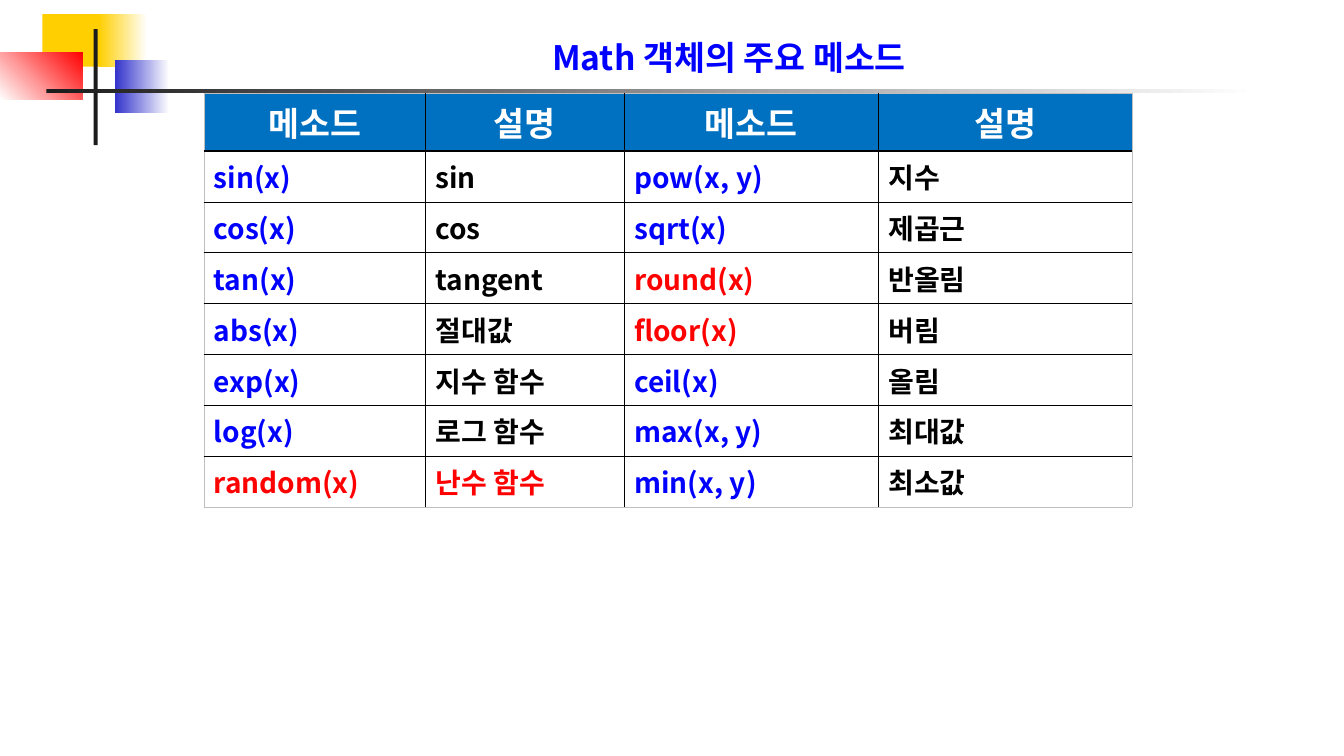
from dataclasses import dataclass
from typing import Optional

from lxml.etree import SubElement
from pptx import Presentation
from pptx.dml.color import RGBColor
from pptx.enum.shapes import MSO_SHAPE
from pptx.enum.text import MSO_ANCHOR, PP_ALIGN
from pptx.oxml import parse_xml
from pptx.oxml.ns import nsdecls, qn
from pptx.slide import Slide
from pptx.table import _Cell
from pptx.text.text import _Paragraph
from pptx.util import Inches, Pt

FONT = "Noto Sans CJK KR"
COLORS = {
    "yellow": "FFCF01",
    "indigo": "3333CC",
    "charcoal": "1C1C1C",
    "white": "FFFFFF",
    "black": "000000",
    "red": "FF0000",
    "blue": "0000FF",
    "header": "0070C0",
    "gray": "BFBFBF",
}
HEADER = ("메소드", "설명", "메소드", "설명")
METHODS = (
    ("sin(x)", "sin", "pow(x, y)", "지수"),
    ("cos(x)", "cos", "sqrt(x)", "제곱근"),
    ("tan(x)", "tangent", "round(x)", "반올림"),
    ("abs(x)", "절대값", "floor(x)", "버림"),
    ("exp(x)", "지수 함수", "ceil(x)", "올림"),
    ("log(x)", "로그 함수", "max(x, y)", "최대값"),
    ("random(x)", "난수 함수", "min(x, y)", "최소값"),
)
HIGHLIGHTED = {"round(x)", "floor(x)", "random(x)", "난수 함수"}
COLUMN_WIDTHS = (2.2, 1.97, 2.52, 2.52)
HEADER_HEIGHT, BODY_HEIGHT = 0.58, 3.53


@dataclass(frozen=True)
class Block:
    """A decorative rectangle, with a gradient when it has an end colour."""

    left: float
    top: float
    width: float
    height: float
    color: str
    end_color: Optional[str] = None
    angle: float = 0


@dataclass(frozen=True)
class Rule:
    """A border line of the table."""

    width: float
    color: str


INNER = Rule(0.75, "black")
UNDER_HEADER = Rule(1.5, "black")
OUTER = Rule(0.25, "gray")
BLOCKS = (
    Block(0.42, 0.14, 0.64, 0.52, "yellow"),
    Block(0.98, 0.14, 0.48, 0.52, "yellow", "white"),
    Block(1.14, 0.6, 0.54, 0.52, "indigo", "white"),
    Block(0, 0.52, 0.82, 0.47, "white", "red", 45),
    Block(0.93, 0.29, 0.04, 1.15, "charcoal"),
    Block(0.46, 0.88, 12, 0.04, "charcoal", "white"),
)


def rgb(name: str) -> RGBColor:
    """Return the named colour."""
    return RGBColor.from_string(COLORS[name])


def draw_block(page: Slide, block: Block) -> None:
    """Draw one decorative rectangle."""
    box = page.shapes.add_shape(
        MSO_SHAPE.RECTANGLE,
        Inches(block.left), Inches(block.top), Inches(block.width), Inches(block.height),
    )
    box.shadow.inherit = False
    box.line.fill.background()
    if block.end_color is None:
        box.fill.solid()
        box.fill.fore_color.rgb = rgb(block.color)
        return
    box.fill.gradient()
    box.fill.gradient_angle = block.angle
    for stop, name in zip(box.fill.gradient_stops, (block.color, block.end_color)):
        stop.color.rgb = rgb(name)


def write(para: _Paragraph, text: str, size: float, color: str) -> None:
    """Add a bold run in the slide font, without pair kerning."""
    span = para.add_run()
    span.text = text
    span.font.size = Pt(size)
    span.font.bold = True
    span.font.color.rgb = rgb(color)
    span.font.name = FONT
    span.font._element.set("kern", "0")
    SubElement(span.font._element, qn("a:ea")).set("typeface", FONT)


def draw_title(page: Slide, text: str) -> None:
    """Draw the slide title."""
    box = page.shapes.add_textbox(Inches(2.97), Inches(0.21), Inches(8.52), Inches(0.61))
    box.text_frame.word_wrap = True
    box.text_frame.vertical_anchor = MSO_ANCHOR.BOTTOM
    para = box.text_frame.paragraphs[0]
    para.alignment = PP_ALIGN.CENTER
    write(para, text, 24, "blue")


def set_borders(cell: _Cell, row: int, column: int) -> None:
    """Rule a cell according to its place in the table."""
    last_row, last_column = len(METHODS), len(HEADER) - 1
    rules = {
        "lnL": OUTER if column == 0 else INNER,
        "lnR": OUTER if column == last_column else INNER,
        "lnT": {0: OUTER, 1: UNDER_HEADER}.get(row, INNER),
        "lnB": {0: UNDER_HEADER, last_row: OUTER}.get(row, INNER),
    }
    properties = cell._tc.get_or_add_tcPr()
    for position, (side, rule) in enumerate(rules.items()):
        properties.insert(position, parse_xml(
            f'<a:{side} {nsdecls("a")} w="{Pt(rule.width)}"><a:solidFill>'
            f'<a:srgbClr val="{COLORS[rule.color]}"/></a:solidFill></a:{side}>'
        ))


def fill_cell(cell: _Cell, text: str, row: int, column: int) -> None:
    """Fill, rule and write one table cell."""
    cell.vertical_anchor = MSO_ANCHOR.MIDDLE
    para = cell.text_frame.paragraphs[0]
    if row == 0:
        cell.fill.solid()
        cell.fill.fore_color.rgb = rgb("header")
        para.alignment = PP_ALIGN.CENTER
        write(para, text, 24, "white")
    else:
        cell.fill.background()
        plain = "blue" if column % 2 == 0 else "black"
        write(para, text, 20, "red" if text in HIGHLIGHTED else plain)
    set_borders(cell, row, column)


def draw_methods(page: Slide) -> None:
    """Draw the table of methods."""
    rows = (HEADER, *METHODS)
    table = page.shapes.add_table(
        len(rows), len(HEADER),
        Inches(2.02), Inches(0.92),
        Inches(sum(COLUMN_WIDTHS)), Inches(HEADER_HEIGHT + BODY_HEIGHT),
    ).table
    table.first_row = False
    table.horz_banding = False
    for table_column, width in zip(table.columns, COLUMN_WIDTHS):
        table_column.width = Inches(width)
    for row, texts in enumerate(rows):
        height = BODY_HEIGHT / len(METHODS) if row else HEADER_HEIGHT
        table.rows[row].height = Inches(height)
        for column, text in enumerate(texts):
            fill_cell(table.cell(row, column), text, row, column)


def main() -> None:
    """Build and save the slide."""
    deck = Presentation()
    deck.slide_width, deck.slide_height = Inches(13.33), Inches(7.5)
    page = deck.slides.add_slide(deck.slide_layouts[6])
    for block in BLOCKS:
        draw_block(page, block)
    draw_title(page, "Math 객체의 주요 메소드")
    draw_methods(page)
    deck.save("out.pptx")


if __name__ == "__main__":
    main()
